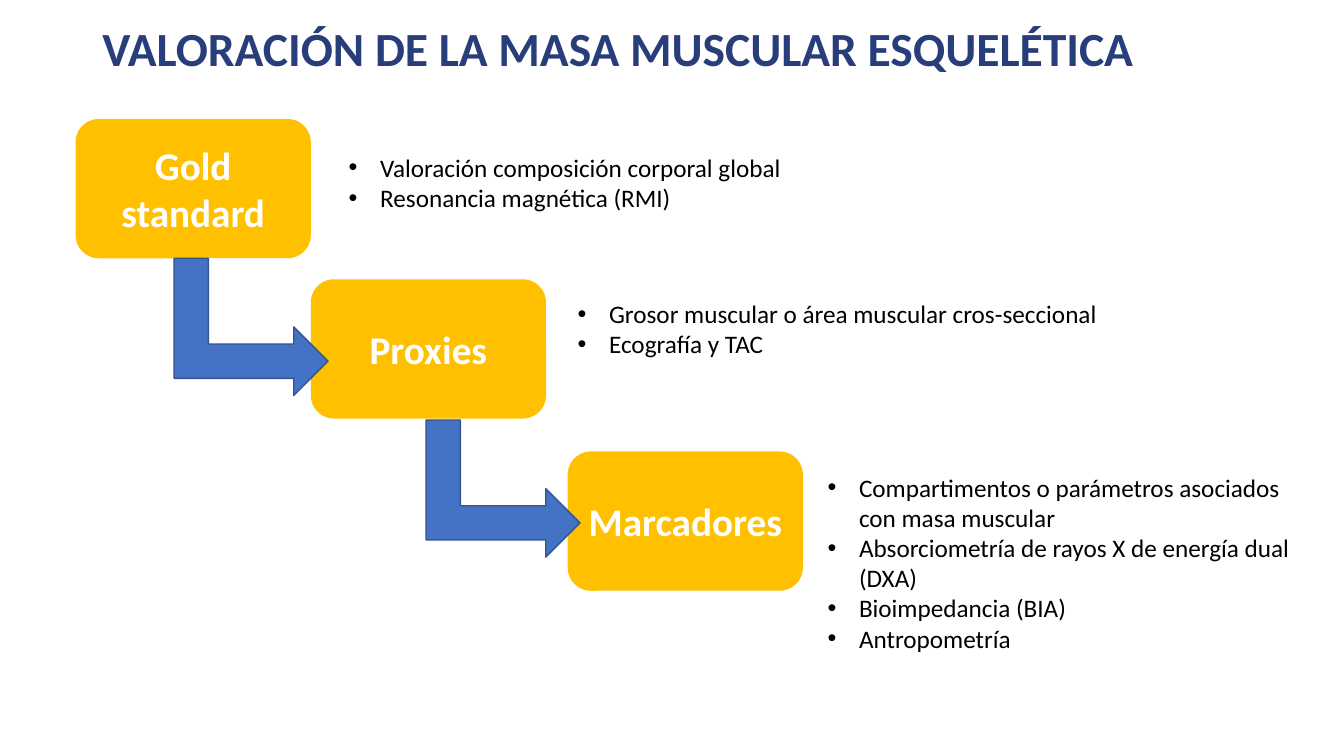
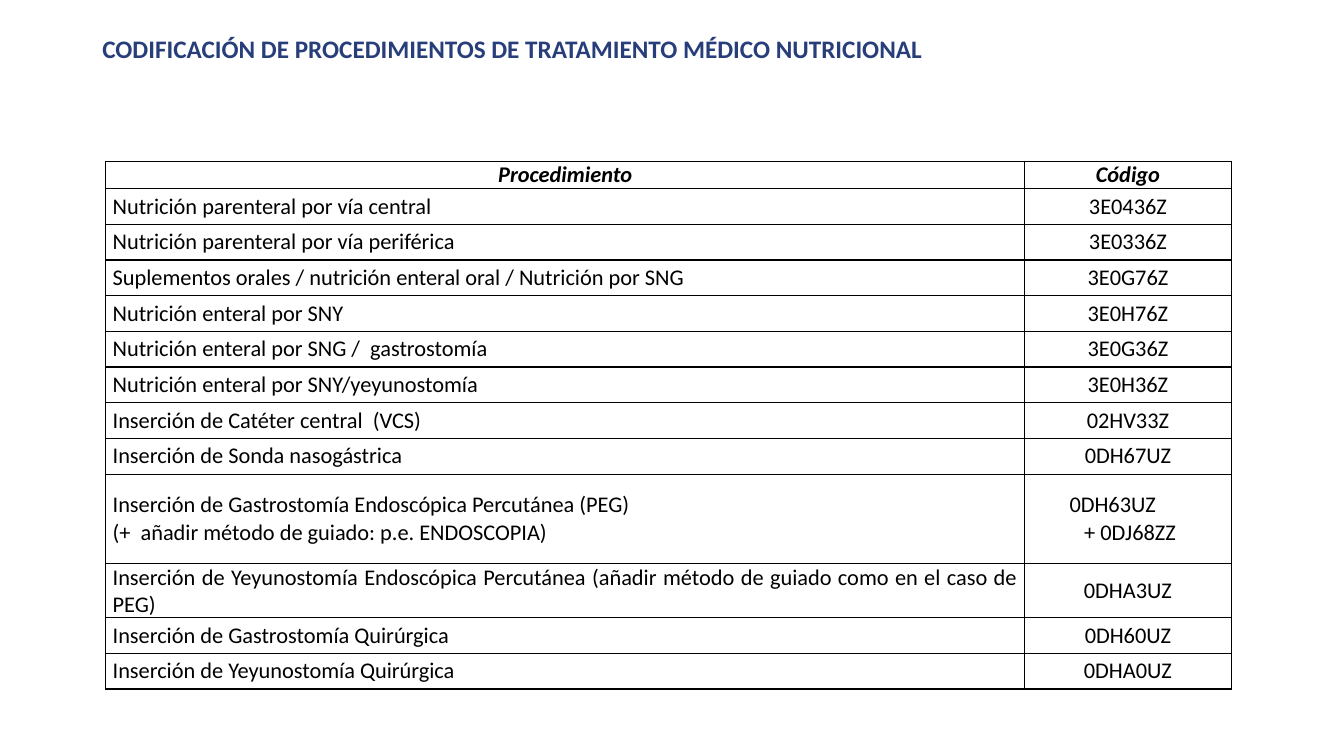
"""Build two slides on muscle mass assessment and nutrition procedure codes."""
from dataclasses import dataclass

import pptx
import pptx.dml.color
import pptx.enum.shapes
import pptx.enum.text
import pptx.oxml
import pptx.oxml.ns
import pptx.util

Pt = pptx.util.Pt
Shape = pptx.enum.shapes.MSO_SHAPE
Align = pptx.enum.text.PP_ALIGN
Anchor = pptx.enum.text.MSO_ANCHOR

FONT = "Calibri"
HUES = {
    "title": "273E7A",
    "gold": "FFC000",
    "blue": "4472C4",
    "edge": "325491",
    "white": "FFFFFF",
    "black": "000000",
}
SPACE = pptx.oxml.ns.nsdecls("a")
BOX_WIDTH, BOX_HEIGHT = 168, 99.5
ARROW_WIDTH, ARROW_HEIGHT = 98, 110
INDENT = 22.5
CELL_INSET = 5


@dataclass
class Step:
    label: str
    left: float
    top: float
    note_left: float
    note_top: float
    note_width: float
    notes: tuple[str, ...]


@dataclass
class Arrow:
    left: float
    top: float


@dataclass
class Entry:
    name: tuple[str, ...]
    code: tuple[str, ...]
    height: float = 25.5
    indents: tuple[float, ...] = ()


STEPS = (
    Step("Gold standard", 54, 85, 242, 105, 330,
         ("Valoración composición corporal global", "Resonancia magnética (RMI)")),
    Step("Proxies", 222, 199.5, 405.5, 209.5, 392,
         ("Grosor muscular o área muscular cros-seccional", "Ecografía y TAC")),
    Step("Marcadores", 405.5, 322.5, 584, 333.5, 350,
         ("Compartimentos o parámetros asociados con masa muscular",
          "Absorciometría de rayos X de energía dual (DXA)",
          "Bioimpedancia (BIA)", "Antropometría")),
)
ARROWS = (Arrow(130.3, 178.5), Arrow(310.3, 294))

HEADER = Entry(("Procedimiento",), ("Código",), 19.6)
ENTRIES = (
    Entry(("Nutrición parenteral por vía central",), ("3E0436Z",)),
    Entry(("Nutrición parenteral por vía periférica",), ("3E0336Z",)),
    Entry(("Suplementos orales / nutrición enteral oral / Nutrición por SNG",), ("3E0G76Z",)),
    Entry(("Nutrición enteral por SNY",), ("3E0H76Z",)),
    Entry(("Nutrición enteral por SNG /  gastrostomía",), ("3E0G36Z",)),
    Entry(("Nutrición enteral por SNY/yeyunostomía",), ("3E0H36Z",)),
    Entry(("Inserción de Catéter central  (VCS)",), ("02HV33Z",)),
    Entry(("Inserción de Sonda nasogástrica",), ("0DH67UZ",)),
    Entry(("Inserción de Gastrostomía Endoscópica Percutánea (PEG)",
           "(+  añadir método de guiado: p.e. ENDOSCOPIA)"),
          ("0DH63UZ", "+ 0DJ68ZZ"), 64, (27, 37.5)),
    Entry(("Inserción de Yeyunostomía Endoscópica Percutánea "
           "(añadir método de guiado como en el caso de PEG)",), ("0DHA3UZ",), 38.5),
    Entry(("Inserción de Gastrostomía Quirúrgica",), ("0DH60UZ",)),
    Entry(("Inserción de Yeyunostomía Quirúrgica",), ("0DHA0UZ",)),
)


def shade(name: str) -> pptx.dml.color.RGBColor:
    """Return the named colour."""
    return pptx.dml.color.RGBColor.from_string(HUES[name])


def write(para, text: str, size: float, hue: str = "black",
          bold: bool = False, slant: bool = False) -> None:
    """Add one styled run to a paragraph."""
    run = para.add_run()
    run.text = text
    font = run.font
    font.name, font.size, font.bold, font.italic = FONT, Pt(size), bold, slant
    font.color.rgb = shade(hue)


def add_lines(frame, count: int) -> list:
    """Return the given number of paragraphs of a text frame."""
    return [frame.paragraphs[0], *(frame.add_paragraph() for _ in range(count - 1))]


def add_text(slide, left: float, top: float, width: float, height: float):
    """Add a wrapping text box and return its frame."""
    box = slide.shapes.add_textbox(Pt(left), Pt(top), Pt(width), Pt(height))
    box.text_frame.word_wrap = True
    return box.text_frame


def add_shape(slide, kind, left: float, top: float, width: float, height: float, hue: str):
    """Add a filled preset shape without shadow."""
    shape = slide.shapes.add_shape(kind, Pt(left), Pt(top), Pt(width), Pt(height))
    shape.shadow.inherit = False
    shape.fill.solid()
    shape.fill.fore_color.rgb = shade(hue)
    return shape


def add_slide(deck, title: str, size: float):
    """Add a blank slide with the shared title style."""
    slide = deck.slides.add_slide(deck.slide_layouts[6])
    frame = add_text(slide, 66, 0, 828, 72.5)
    frame.vertical_anchor = Anchor.MIDDLE
    para = frame.paragraphs[0]
    para.line_spacing = 0.9
    write(para, title, size, "title", bold=True)
    return slide


def draw_step(slide, step: Step) -> None:
    """Draw a step box and its bulleted notes."""
    box = add_shape(slide, Shape.ROUNDED_RECTANGLE, step.left, step.top,
                    BOX_WIDTH, BOX_HEIGHT, "gold")
    box.line.fill.background()
    frame = box.text_frame
    frame.word_wrap = True
    frame.vertical_anchor = Anchor.MIDDLE
    frame.paragraphs[0].alignment = Align.CENTER
    write(frame.paragraphs[0], step.label, 28, "white", bold=True)

    height = 138 if len(step.notes) > 2 else 51
    frame = add_text(slide, step.note_left, step.note_top, step.note_width, height)
    for para, note in zip(add_lines(frame, len(step.notes)), step.notes):
        props = para._p.get_or_add_pPr()
        props.set("marL", str(Pt(INDENT)))
        props.set("indent", str(-Pt(INDENT)))
        props.append(pptx.oxml.parse_xml(f'<a:buFont {SPACE} typeface="Arial"/>'))
        props.append(pptx.oxml.parse_xml(f'<a:buChar {SPACE} char="•"/>'))
        write(para, note, 18)


def draw_arrow(slide, arrow: Arrow) -> None:
    """Draw a bent arrow leading to the next step."""
    shape = add_shape(slide, Shape.BENT_UP_ARROW, arrow.left, arrow.top,
                      ARROW_WIDTH, ARROW_HEIGHT, "blue")
    shape.rotation = 90
    shape.line.color.rgb = shade("edge")
    shape.line.width = Pt(1)


def fill_cell(cell, lines: tuple[str, ...], align, head: bool,
              indents: tuple[float, ...] = ()) -> None:
    """Style a table cell and write its lines."""
    cell.margin_left = cell.margin_right = Pt(CELL_INSET)
    cell.margin_top = cell.margin_bottom = Pt(0)
    cell.vertical_anchor = Anchor.MIDDLE
    props = cell._tc.get_or_add_tcPr()
    for side in "LRTB":
        props.append(pptx.oxml.parse_xml(
            f'<a:ln{side} {SPACE} w="{Pt(1)}"><a:solidFill>'
            f'<a:srgbClr val="{HUES["black"]}"/></a:solidFill></a:ln{side}>'))
    cell.fill.background()
    paras = add_lines(cell.text_frame, len(lines))
    for para, line in zip(paras, lines):
        para.alignment = align
        write(para, line, 16, bold=head, slant=head)
    for para, indent in zip(paras, indents):
        para.alignment = Align.LEFT
        para._p.get_or_add_pPr().set("marL", str(Pt(indent)))


def draw_table(slide, entries: tuple[Entry, ...]) -> None:
    """Draw the table of procedures and codes."""
    widths = (656.5, 147.5)
    rows = (HEADER, *entries)
    table = slide.shapes.add_table(
        len(rows), len(widths), Pt(75.5), Pt(115.2), Pt(sum(widths)),
        Pt(sum(row.height for row in rows))).table
    table.first_row = table.horz_banding = False
    for column, width in zip(table.columns, widths):
        column.width = Pt(width)
    for index, entry in enumerate(rows):
        head = index == 0
        table.rows[index].height = Pt(entry.height)
        fill_cell(table.cell(index, 0), entry.name,
                  Align.CENTER if head else Align.JUSTIFY, head)
        fill_cell(table.cell(index, 1), entry.code, Align.CENTER, head, entry.indents)


def main() -> None:
    """Build and save the deck."""
    deck = pptx.Presentation()
    deck.slide_width, deck.slide_height = Pt(960), Pt(540)
    slide = add_slide(deck, "VALORACIÓN DE LA MASA MUSCULAR ESQUELÉTICA", 34)
    for step in STEPS:
        draw_step(slide, step)
    for arrow in ARROWS:
        draw_arrow(slide, arrow)
    slide = add_slide(
        deck, "CODIFICACIÓN DE PROCEDIMIENTOS DE TRATAMIENTO MÉDICO NUTRICIONAL", 18)
    draw_table(slide, ENTRIES)
    deck.save("out.pptx")


if __name__ == "__main__":
    main()
